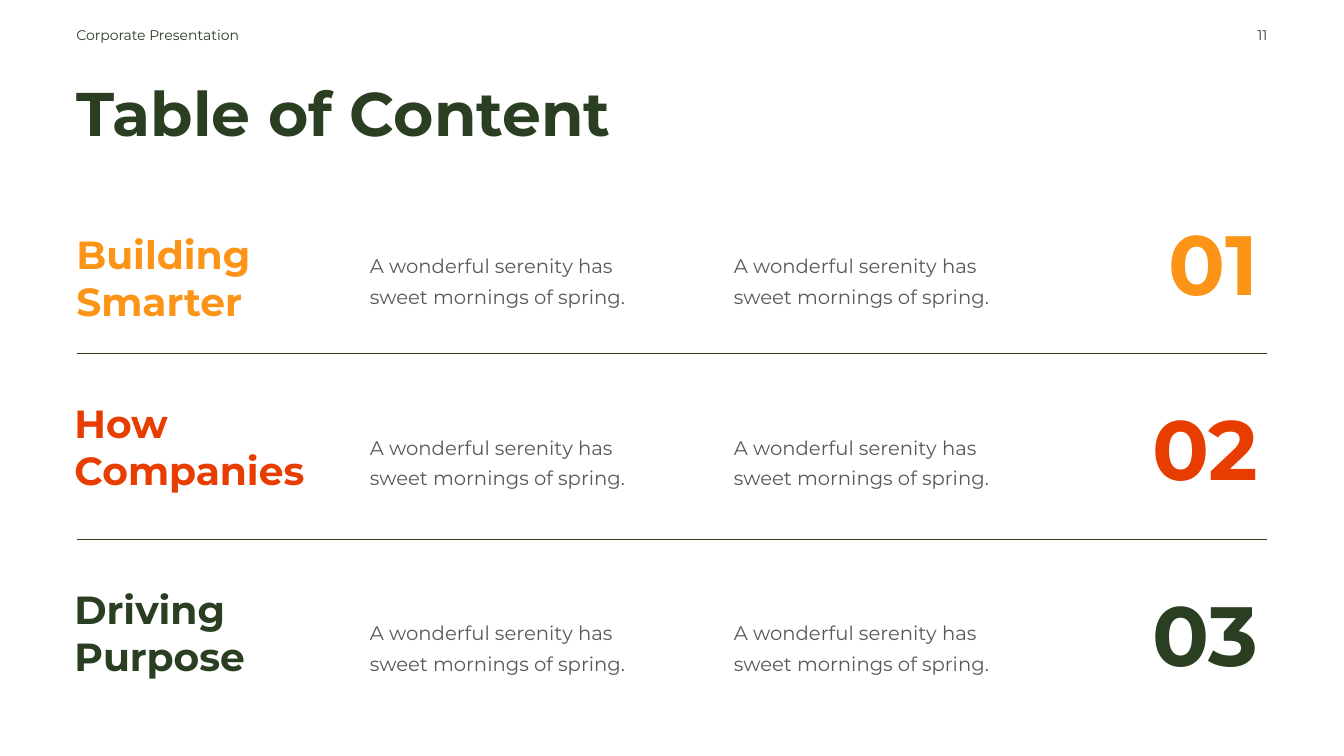
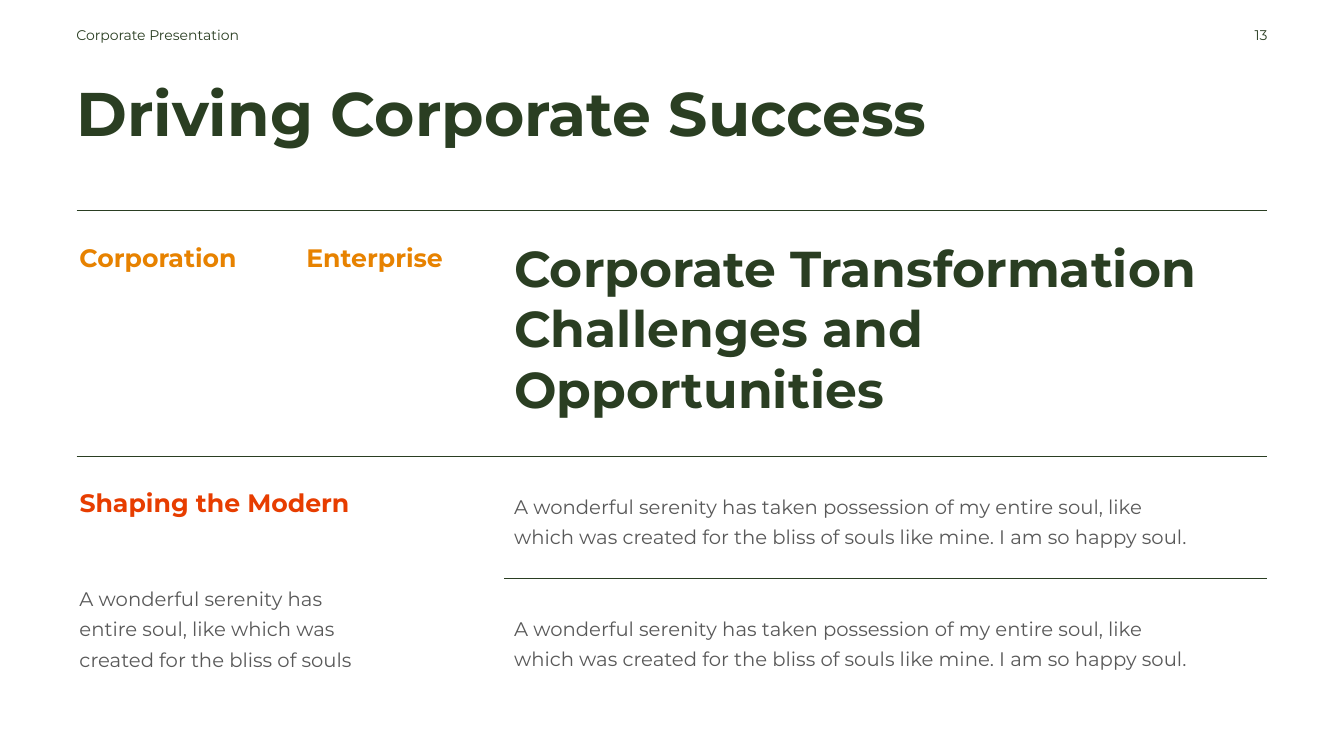
"""Build two slides of a corporate deck: the contents and a topic overview."""
from lxml.etree import SubElement
from pptx import Presentation
from pptx.dml.color import RGBColor
from pptx.enum.shapes import MSO_CONNECTOR
from pptx.enum.text import MSO_ANCHOR, MSO_AUTO_SIZE, PP_ALIGN
from pptx.oxml.ns import qn
from pptx.util import Inches, Pt

FONT = "Montserrat"
GREEN, GRAY = "2A3E22", "595959"
ORANGE, AMBER, RED = "FC9417", "E78200", "E73D00"
LEFT, RIGHT = 0.76, 12.57
STEP = 1.84
SHORT = "A wonderful serenity has sweet mornings of spring."
LONG = ("A wonderful serenity has taken possession of my entire soul, like "
        "which was created for the bliss of souls like mine. I am so happy soul.")
ASIDE = ("A wonderful serenity has entire soul, like which was "
         "created for the bliss of souls")
ROWS = [
    ("Building Smarter", ORANGE, 0.66, 2.23, 2.41),
    ("How Companies", RED, 0.64, 3.91, 4.21),
    ("Driving Purpose", GREEN, 0.64, 5.75, 6.05),
]


def paint(color, code):
    """Set a font or line colour from a hex string."""
    color.rgb = RGBColor.from_string(code)


def write(slide, text, box, size, code=GREEN, bold=False, align=PP_ALIGN.LEFT,
          anchor=MSO_ANCHOR.TOP, space=None):
    """Add a wrapped text box with one style."""
    frame = slide.shapes.add_textbox(*map(Inches, box)).text_frame
    frame.text = text
    frame.word_wrap = True
    frame.auto_size = MSO_AUTO_SIZE.SHAPE_TO_FIT_TEXT
    frame.vertical_anchor = anchor
    para = frame.paragraphs[0]
    para.alignment = align
    para.line_spacing = space
    font = para.runs[0].font
    font.name, font.size, font.bold = FONT, Pt(size), bold
    paint(font.color, code)


def body(slide, text, box, anchor=MSO_ANCHOR.TOP):
    """Add gray running text with open line spacing."""
    write(slide, text, box, 14, GRAY, anchor=anchor, space=1.3)


def rule(slide, top, left=LEFT):
    """Draw a thin line out to the right margin."""
    line = slide.shapes.add_connector(
        MSO_CONNECTOR.STRAIGHT, Inches(left), Inches(top), Inches(RIGHT), Inches(top))
    line.line.width = Pt(0.5)
    paint(line.line.color, GREEN)
    SubElement(line._element.spPr, qn("a:effectLst"))


def start(deck, title, page):
    """Add a slide with its header, page number and title."""
    slide = deck.slides.add_slide(deck.slide_layouts[6])
    write(slide, "Corporate Presentation", (0.66, 0.21, 2.01, 0.27), 10)
    write(slide, page, (9.67, 0.21, 3, 0.27), 10, align=PP_ALIGN.RIGHT)
    write(slide, title, (0.66, 0.69, 11.9, 0.84), 44, bold=True)
    return slide


def contents(deck):
    """Build the three numbered content rows."""
    slide = start(deck, "Table of Content", "11")
    mid = MSO_ANCHOR.MIDDLE
    for i, (name, code, left, top, low) in enumerate(ROWS):
        write(slide, name, (left, top, 2.6, 1.04), 28, code, True, anchor=mid)
        for col in (3.57, 7.18):
            body(slide, SHORT, (col, low, 2.81, 0.69), mid)
        write(slide, f"{i + 1:02}", (10.8, 2.04 + i * STEP, 1.78, 1.11), 60,
              code, True, PP_ALIGN.RIGHT, mid)
        if i:
            rule(slide, 3.51 + (i - 1) * STEP)


def success(deck):
    """Build the topic overview with its ruled sections."""
    slide = start(deck, "Driving Corporate Success", "13")
    for top, left in ((2.09, LEFT), (4.53, LEFT), (5.74, 5)):
        rule(slide, top, left)
    for text, box, code in (
            ("Corporation", (0.69, 2.35, 1.87, 0.4), AMBER),
            ("Enterprise", (2.94, 2.35, 1.87, 0.4), AMBER),
            ("Shaping the Modern", (0.69, 4.79, 4.12, 0.4), RED)):
        write(slide, text, box, 18, code, True)
    write(slide, "Corporate Transformation Challenges and Opportunities",
          (5, 2.3, 7.58, 1.92), 36, bold=True)
    for top in (4.79, 6):
        body(slide, LONG, (5, top, 7.01, 0.69))
    body(slide, ASIDE, (0.69, 5.7, 3, 0.99))


def main():
    """Build and save the deck."""
    deck = Presentation()
    deck.slide_width, deck.slide_height = Inches(13.33), Inches(7.5)
    contents(deck)
    success(deck)
    deck.save("out.pptx")


if __name__ == "__main__":
    main()
